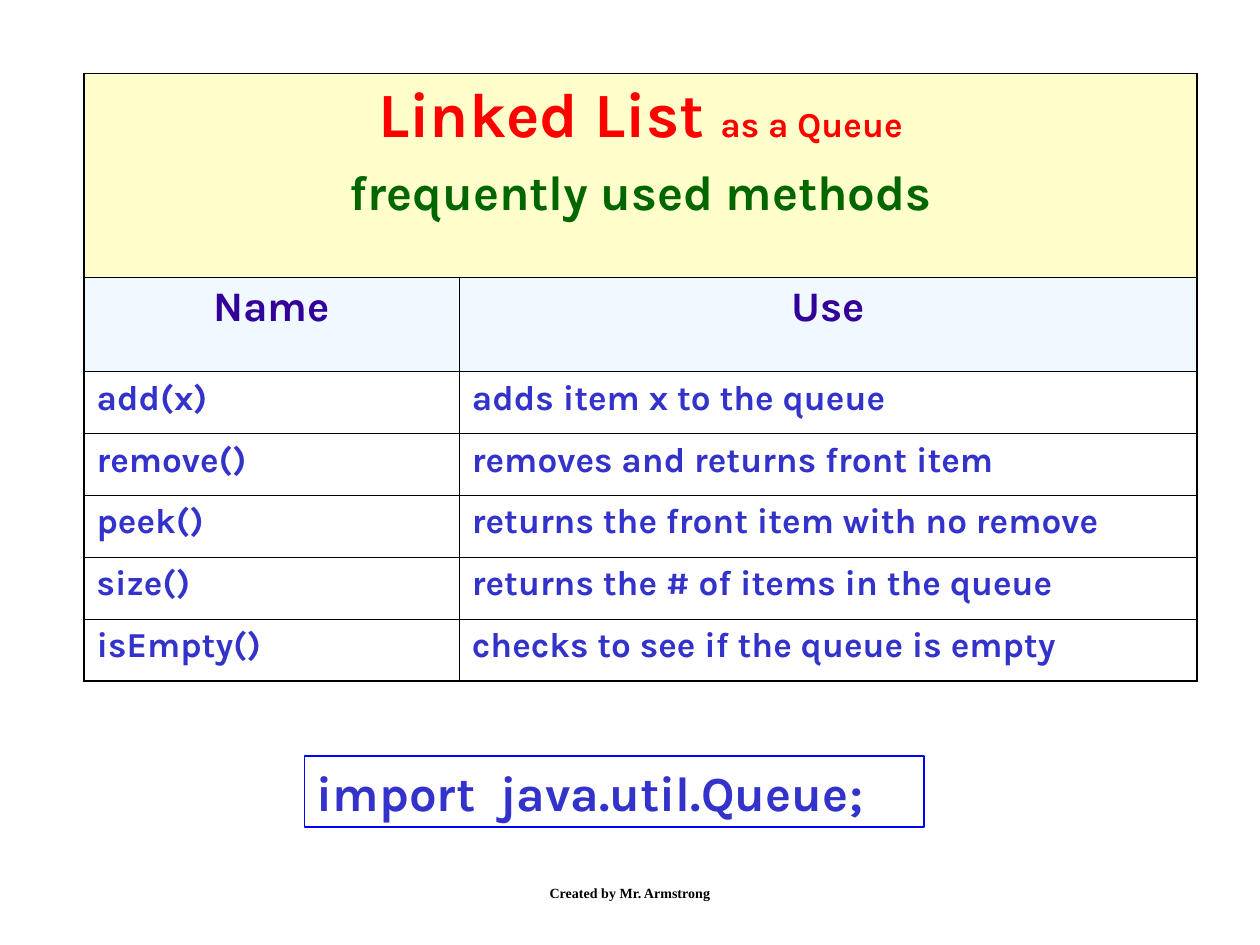
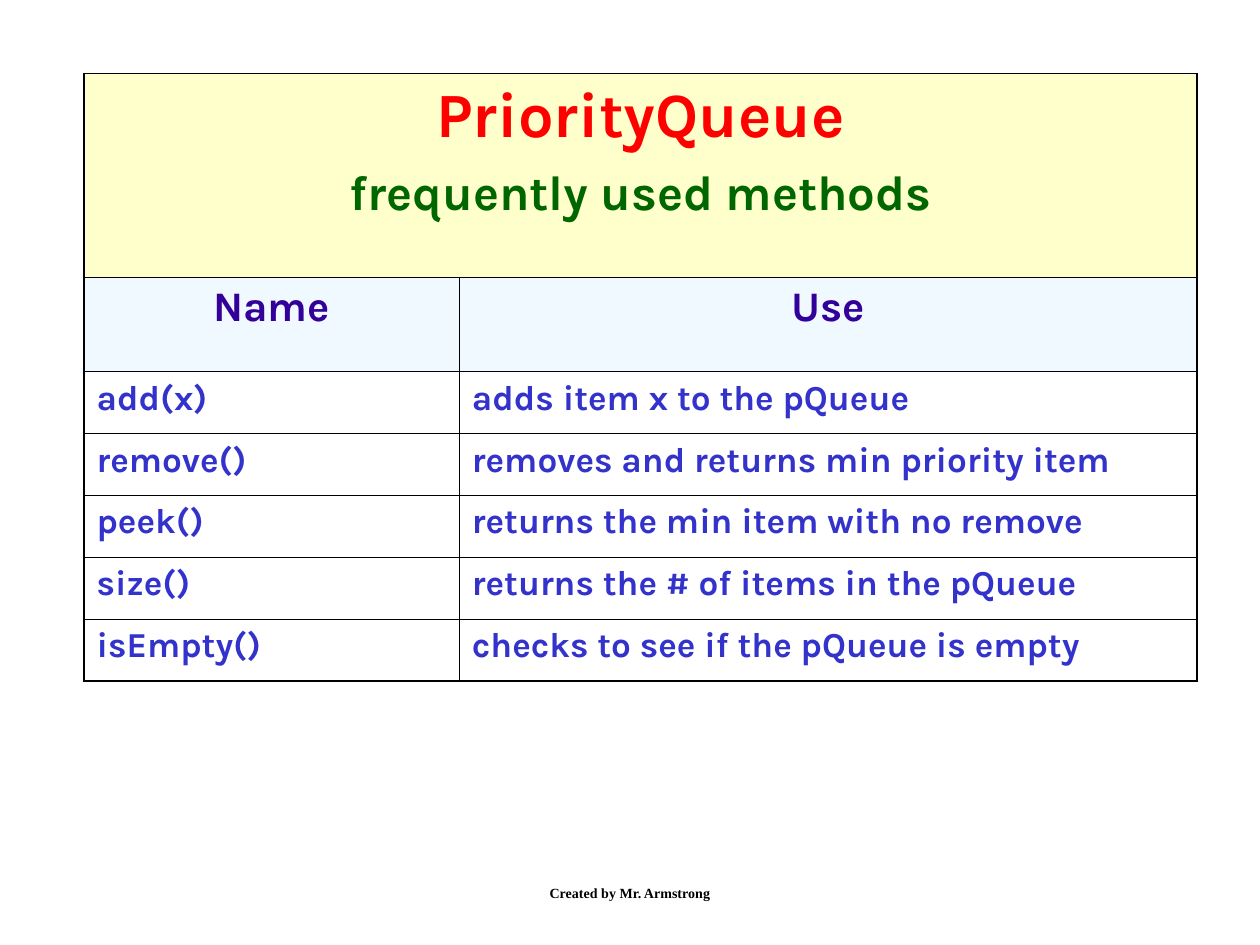
import pptx
import pptx.util
import pptx.dml.color
import pptx.enum.shapes
import pptx.enum.text
import pptx.oxml
import pptx.oxml.ns
from lxml import etree

Pt = pptx.util.Pt
RGB = pptx.dml.color.RGBColor.from_string
CENTER = pptx.enum.text.PP_ALIGN.CENTER
LEFT = pptx.enum.text.PP_ALIGN.LEFT
qn = pptx.oxml.ns.qn

COLORS = {
    "title": "FF0000",
    "subtitle": "006600",
    "head": "330099",
    "body": "3333CC",
    "title_fill": "FFFFCC",
    "head_fill": "E1F4FF",
    "box_line": "0000FF",
    "black": "000000",
}

prs = pptx.Presentation()
prs.slide_width = pptx.util.Inches(10)
prs.slide_height = pptx.util.Inches(7.5)
UNIT = prs.slide_width / 120

COLS = [35.75, 70.25]
ROWS = [19.4, 9] + [5.9] * 5
METHODS = ["add(x)", "remove()", "peek()", "size()", "isEmpty()"]
SLIDES = [
    {
        "title": [("Linked List ", 36), ("as a Queue", 20)],
        "uses": [
            "adds item x to the queue",
            "removes and returns front item",
            "returns the front item with no remove",
            "returns the # of items in the queue",
            "checks to see if the queue is empty",
        ],
        "import": "import  java.util.Queue;",
    },
    {
        "title": [("PriorityQueue", 36)],
        "uses": [
            "adds item x to the pQueue",
            "removes and returns min priority item",
            "returns the min item with no remove",
            "returns the # of items in the pQueue",
            "checks to see if the pQueue is empty",
        ],
        "import": None,
    },
]


def grid(*cells):
    return [round(n * UNIT) for n in cells]


def write(p, runs, color, align=LEFT, before=0, font="Karla"):
    p.alignment = align
    p.space_before = Pt(before)
    for text, size in runs:
        r = p.add_run()
        r.text = text
        r.font.name = font
        r.font.size = Pt(size)
        r.font.bold = True
        r.font.color.rgb = RGB(COLORS[color])


for data in SLIDES:
    slide = prs.slides.add_slide(prs.slide_layouts[6])

    table = slide.shapes.add_table(
        len(ROWS), len(COLS), *grid(8, 7, sum(COLS), sum(ROWS))
    ).table
    table.first_row = False
    table.horz_banding = False
    for col, width in zip(table.columns, grid(*COLS)):
        col.width = width
    for row, height in zip(table.rows, grid(*ROWS)):
        row.height = height
    table.cell(0, 0).merge(table.cell(0, 1))

    for i in range(len(ROWS)):
        for j in range(len(COLS)):
            cell = table.cell(i, j)
            outer = {
                "lnL": j == 0,
                "lnR": j == 1 or i == 0,
                "lnT": i == 0,
                "lnB": i == len(ROWS) - 1,
            }
            tcPr = cell._tc.get_or_add_tcPr()
            for edge, thick in outer.items():
                ln = etree.SubElement(tcPr, qn("a:" + edge), w=str(Pt(1.08 if thick else 0.45)))
                solid = etree.SubElement(ln, qn("a:solidFill"))
                etree.SubElement(solid, qn("a:srgbClr"), val=COLORS["black"])
            if i < 2:
                cell.fill.solid()
                cell.fill.fore_color.rgb = RGB(COLORS["head_fill" if i else "title_fill"])
            else:
                cell.fill.background()
            if i == 1:
                clr = tcPr.find(qn("a:solidFill")).find(qn("a:srgbClr"))
                etree.SubElement(clr, qn("a:alpha"), val="50000")

    tf = table.cell(0, 0).text_frame
    write(tf.paragraphs[0], data["title"], "title", CENTER, 7)
    write(tf.add_paragraph(), [("frequently used methods", 28)], "subtitle", CENTER, 7)
    for j, name in enumerate(["Name", "Use"]):
        write(table.cell(1, j).text_frame.paragraphs[0], [(name, 24)], "head", CENTER, 6)
    for i, pair in enumerate(zip(METHODS, data["uses"]), start=2):
        for j, text in enumerate(pair):
            write(table.cell(i, j).text_frame.paragraphs[0], [(text, 20)], "body", before=5)

    if data["import"]:
        sp = slide.shapes.add_shape(
            pptx.enum.shapes.MSO_SHAPE.RECTANGLE, *grid(29, 72, 59, 6.8)
        )
        sp.shadow.inherit = False
        sp.fill.background()
        sp.line.color.rgb = RGB(COLORS["box_line"])
        sp.line.width = Pt(1)
        tf = sp.text_frame
        tf.word_wrap = True
        tf.vertical_anchor = pptx.enum.text.MSO_ANCHOR.TOP
        tf.auto_size = pptx.enum.text.MSO_AUTO_SIZE.SHAPE_TO_FIT_TEXT
        write(tf.paragraphs[0], [(data["import"], 28)], "body")

    tf = slide.shapes.add_textbox(*grid(41, 82, 38, 6)).text_frame
    tf.word_wrap = True
    tf.vertical_anchor = pptx.enum.text.MSO_ANCHOR.MIDDLE
    write(tf.paragraphs[0], [("Created by Mr. Armstrong", 8)], "black", CENTER,
          font="Times New Roman")

prs.save("out.pptx")
